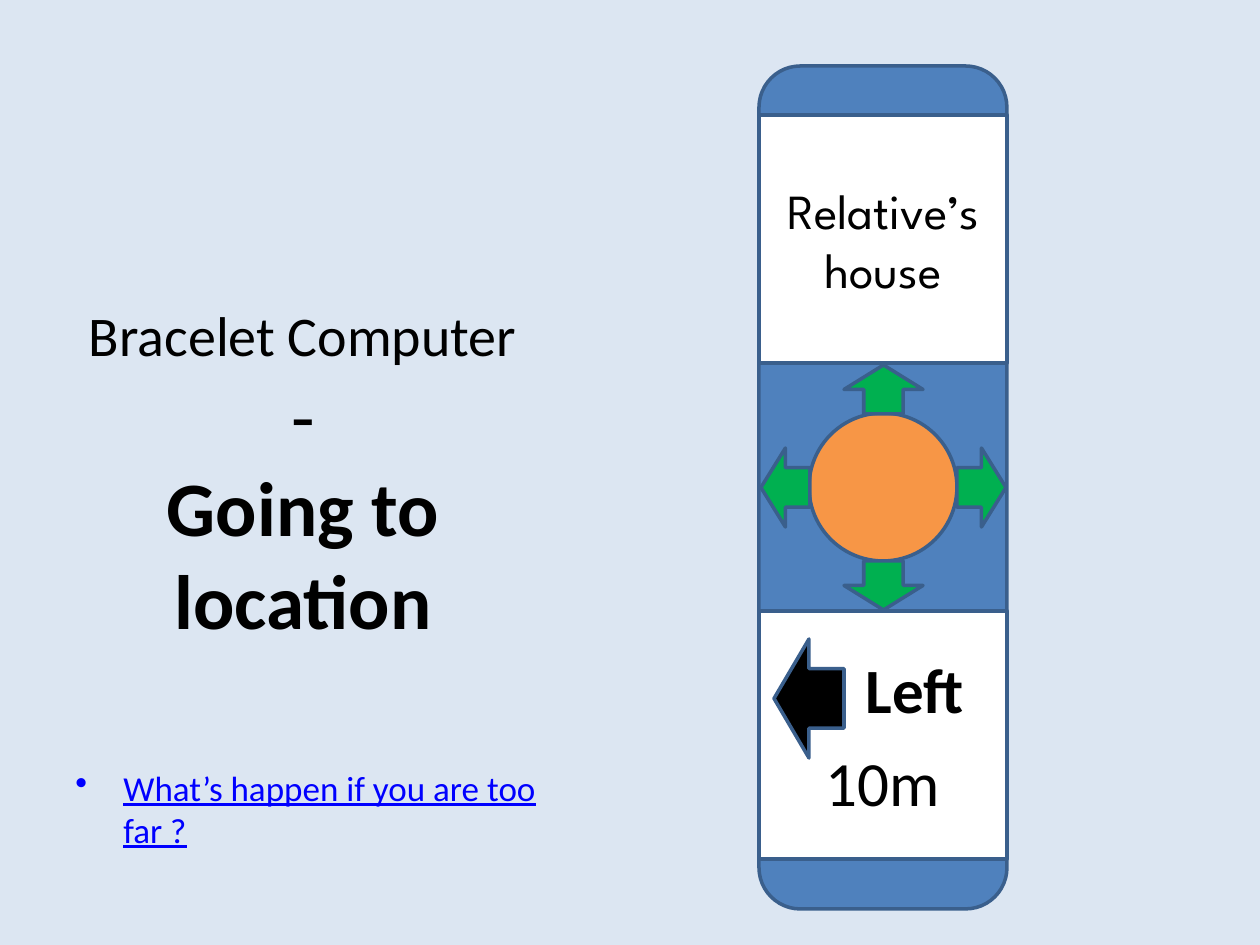
import pptx
import pptx.dml.color
import pptx.enum.shapes
import pptx.enum.text
import pptx.oxml
import pptx.util

RGBColor = pptx.dml.color.RGBColor
SHAPE = pptx.enum.shapes.MSO_SHAPE
ALIGN = pptx.enum.text.PP_ALIGN
ANCHOR = pptx.enum.text.MSO_ANCHOR

PX = 914400 // 126  # EMU in one px
SLIDE_SIZE = (1260, 945)

BACKGROUND = RGBColor(0xDC, 0xE6, 0xF2)
STRAP = RGBColor(0x4F, 0x81, 0xBD)
OUTLINE = RGBColor(0x3A, 0x5F, 0x8C)
BUTTON = RGBColor(0xF7, 0x96, 0x46)
GREEN = RGBColor(0x00, 0xB0, 0x50)
WHITE = RGBColor(0xFF, 0xFF, 0xFF)
BLACK = RGBColor(0x00, 0x00, 0x00)
LINK = RGBColor(0x00, 0x00, 0xFF)


def emu(*lengths):
    return [length * PX for length in lengths]


def add_outlined(slide, kind, box, fill):
    shape = slide.shapes.add_shape(kind, *emu(*box))
    shape.shadow.inherit = False
    shape.fill.solid()
    shape.fill.fore_color.rgb = fill
    shape.line.color.rgb = OUTLINE
    shape.line.width = pptx.util.Pt(2)
    return shape


def write_paragraph(frame, text, size, color=BLACK, align=ALIGN.CENTER,
                    indent=None, space_before=None, bullet=None, **font):
    """Fill the empty first paragraph, or add one below the others."""
    paragraph = frame.paragraphs[0]
    if paragraph.runs:
        paragraph = frame.add_paragraph()
    paragraph.alignment = align
    if space_before:
        paragraph.space_before = pptx.util.Pt(space_before)
    properties = paragraph._p.get_or_add_pPr()
    if indent:
        properties.set("marL", str(indent * PX))
        properties.set("indent", str(-indent * PX if bullet else 0))
    if bullet:
        properties.append(pptx.oxml.parse_xml(
            '<a:buChar xmlns:a="http://schemas.openxmlformats.org/'
            f'drawingml/2006/main" char="{bullet}"/>'))
    run = paragraph.add_run()
    run.text = text
    run.font.color.rgb = color
    formats = {"name": "Calibri", "size": pptx.util.Pt(size), **font}
    for name, value in formats.items():
        setattr(run.font, name, value)


def add_text_frame(slide, box, anchor):
    frame = slide.shapes.add_textbox(*emu(*box)).text_frame
    frame.word_wrap = True
    frame.vertical_anchor = anchor
    return frame


def add_title(slide, box):
    frame = add_text_frame(slide, box, ANCHOR.MIDDLE)
    write_paragraph(frame, "Bracelet Computer", 32)
    write_paragraph(frame, "-", 44)
    write_paragraph(frame, "Going to location", 44, bold=True)


def add_question(slide, box):
    frame = add_text_frame(slide, box, ANCHOR.TOP)
    write_paragraph(frame, "What’s happen if you are too far ?", 20, LINK,
                    ALIGN.LEFT, indent=48, bullet="•", underline=True)


def add_controls(slide, left, top, side):
    """Round button with an arrow between it and each edge of the square."""
    center_x, center_y = left + side // 2, top + side // 2
    diameter = side * 3 // 5
    length, breadth = side // 5, 79
    add_outlined(slide, SHAPE.OVAL, (center_x - diameter // 2,
                 center_y - diameter // 2, diameter, diameter), BUTTON)
    distance = (diameter + length) // 2
    arrows = [(SHAPE.UP_ARROW, 0, -1), (SHAPE.RIGHT_ARROW, 1, 0),
              (SHAPE.DOWN_ARROW, 0, 1), (SHAPE.LEFT_ARROW, -1, 0)]
    for kind, step_x, step_y in arrows:
        width, height = (length, breadth) if step_x else (breadth, length)
        add_outlined(slide, kind, (center_x + step_x * distance - width // 2,
                     center_y + step_y * distance - height // 2,
                     width, height), GREEN)


def add_screen(slide, left, top, side):
    screen = add_outlined(slide, SHAPE.RECTANGLE, (left, top, side, side), WHITE)
    frame = screen.text_frame
    frame.word_wrap = True
    frame.vertical_anchor = ANCHOR.MIDDLE
    return frame


def add_direction(slide, left, top, side):
    frame = add_screen(slide, left, top, side)
    write_paragraph(frame, "Left", 36, indent=63, bold=True)
    write_paragraph(frame, "10m", 36, space_before=10)
    add_outlined(slide, SHAPE.LEFT_ARROW, (left + 15, top + 28, 70, 119), BLACK)


def add_bracelet(slide, box):
    """Strap with three stacked squares: destination, controls, direction."""
    left, top, side, height = box
    add_outlined(slide, SHAPE.ROUNDED_RECTANGLE, box, STRAP)
    first = top + (height - 3 * side) // 2
    add_controls(slide, left, first + side, side)
    destination = add_screen(slide, left, first, side)
    write_paragraph(destination, "Relative’s house", 28, name="League Spartan")
    add_direction(slide, left, first + 2 * side, side)


def main():
    presentation = pptx.Presentation()
    presentation.slide_width, presentation.slide_height = emu(*SLIDE_SIZE)
    slide = presentation.slides.add_slide(presentation.slide_layouts[6])
    slide.background.fill.solid()
    slide.background.fill.fore_color.rgb = BACKGROUND
    add_title(slide, (44, 0, 518, 945))
    add_bracelet(slide, (759, 66, 248, 843))
    add_question(slide, (63, 760, 518, 84))
    presentation.save("out.pptx")


if __name__ == "__main__":
    main()
